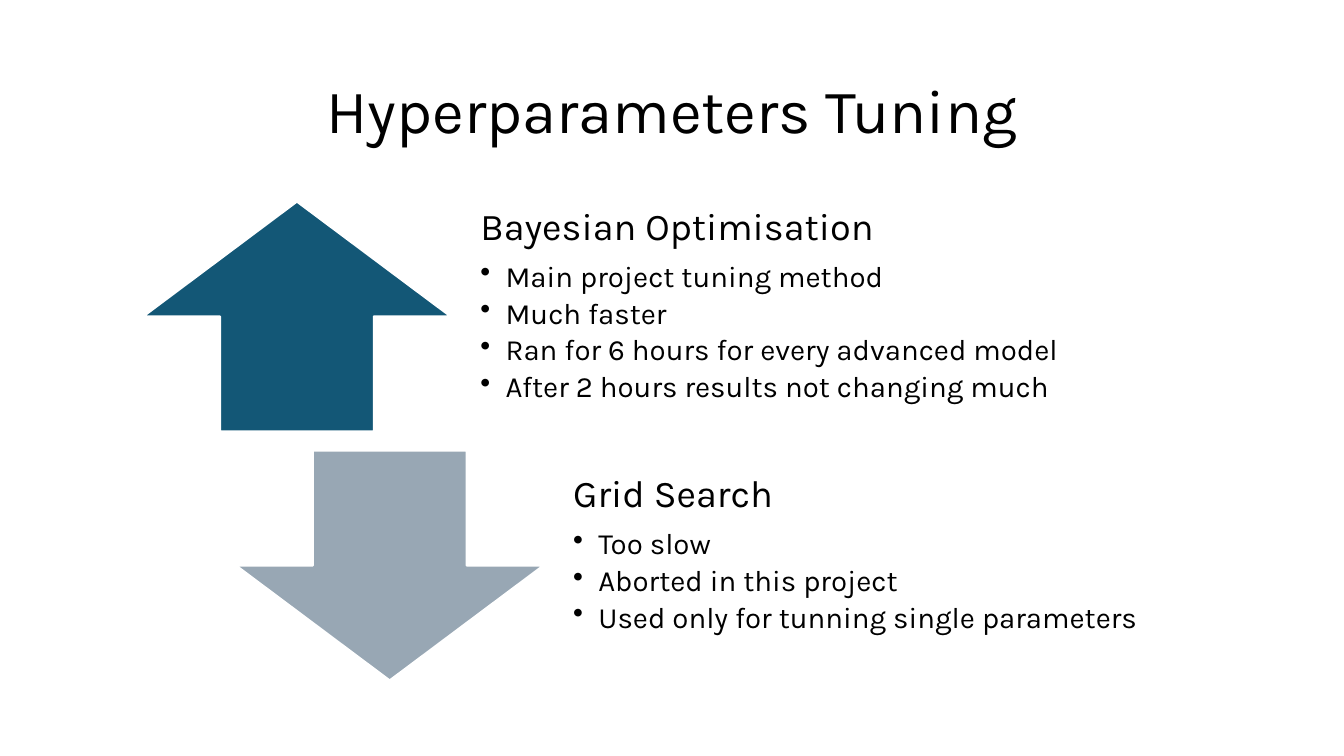
from lxml.etree import SubElement
from pptx import Presentation
from pptx.dml.color import RGBColor
from pptx.enum.shapes import MSO_SHAPE
from pptx.enum.text import MSO_ANCHOR, PP_ALIGN
from pptx.oxml.ns import qn
from pptx.util import Inches, Pt

COLORS = {"text": "000000", "up": "135776", "down": "98A7B4", "outline": "FFFFFF"}
FONT = "Karla"

ARROW_WIDTH, ROW_HEIGHT = 3.05, 2.28
TEXT_OFFSET, TEXT_WIDTH = 3.135, 6.44
FIRST_LEFT, FIRST_TOP = 1.42, 2.0
STEP_RIGHT, STEP_DOWN = 0.92, 2.47

METHODS = [
    (MSO_SHAPE.UP_ARROW, "up", "Bayesian Optimisation", [
        "Main project tuning method",
        "Much faster",
        "Ran for 6 hours for every advanced model",
        "After 2 hours results not changing much",
    ]),
    (MSO_SHAPE.DOWN_ARROW, "down", "Grid Search", [
        "Too slow",
        "Aborted in this project",
        "Used only for tunning single parameters",
    ]),
]


def color(name):
    return RGBColor.from_string(COLORS[name])


def add_text_frame(slide, left, top, width, height):
    box = slide.shapes.add_textbox(Inches(left), Inches(top), Inches(width), Inches(height))
    frame = box.text_frame
    frame.word_wrap = True
    frame.vertical_anchor = MSO_ANCHOR.MIDDLE
    return frame


def write_paragraph(paragraph, text, size, space_after=0):
    paragraph.text = text
    paragraph.line_spacing = 0.9
    paragraph.space_after = Pt(space_after)
    paragraph.font.name = FONT
    paragraph.font.size = Pt(size)
    paragraph.font.color.rgb = color("text")


def add_bullet(paragraph):
    paragraph.level = 1
    properties = paragraph._p.get_or_add_pPr()
    properties.set("marL", str(Inches(0.25)))
    properties.set("indent", str(-Inches(0.25)))
    SubElement(properties, qn("a:buChar")).set("char", "•")


def add_title(slide, left, top, width, height):
    paragraph = add_text_frame(slide, left, top, width, height).paragraphs[0]
    write_paragraph(paragraph, "Hyperparameters Tuning", 44)
    paragraph.alignment = PP_ALIGN.CENTER


def add_method(slide, left, top, arrow_kind, fill_name, heading, points):
    """Place an arrow with its heading and bullets to the right."""
    arrow = slide.shapes.add_shape(
        arrow_kind, Inches(left), Inches(top), Inches(ARROW_WIDTH), Inches(ROW_HEIGHT))
    arrow.shadow.inherit = False
    arrow.fill.solid()
    arrow.fill.fore_color.rgb = color(fill_name)
    arrow.line.color.rgb = color("outline")
    arrow.line.width = Pt(1.5)

    frame = add_text_frame(slide, left + TEXT_OFFSET, top, TEXT_WIDTH, ROW_HEIGHT)
    frame.margin_left = frame.margin_right = frame.margin_bottom = Inches(0.21)
    frame.margin_top = 0
    write_paragraph(frame.paragraphs[0], heading, 27, 9.4)
    for point in points:
        paragraph = frame.add_paragraph()
        write_paragraph(paragraph, point, 21, 3.6)
        add_bullet(paragraph)


def main():
    presentation = Presentation()
    presentation.slide_width = Inches(13.33)
    presentation.slide_height = Inches(7.5)
    slide = presentation.slides.add_slide(presentation.slide_layouts[6])
    add_title(slide, 0.92, 0.4, 11.5, 1.45)
    for index, method in enumerate(METHODS):
        add_method(slide, FIRST_LEFT + index * STEP_RIGHT,
                   FIRST_TOP + index * STEP_DOWN, *method)
    presentation.save("out.pptx")


if __name__ == "__main__":
    main()
